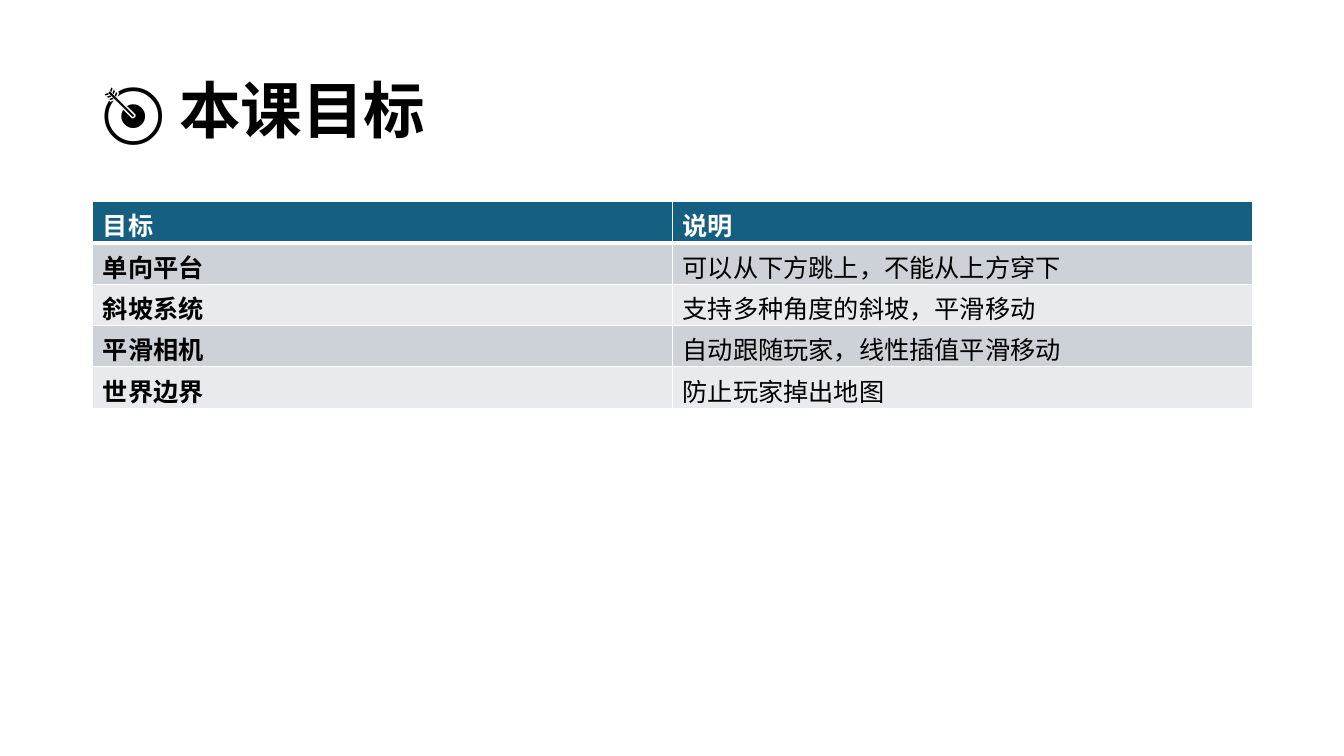
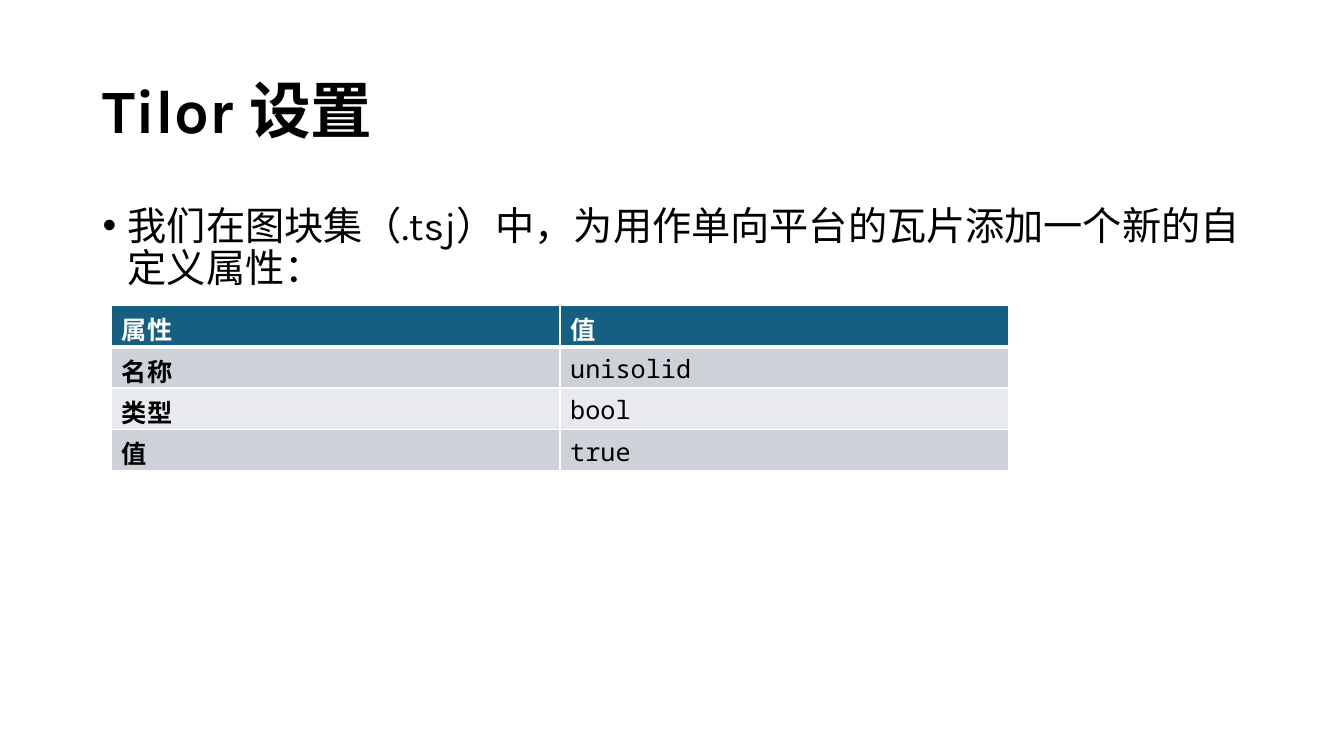
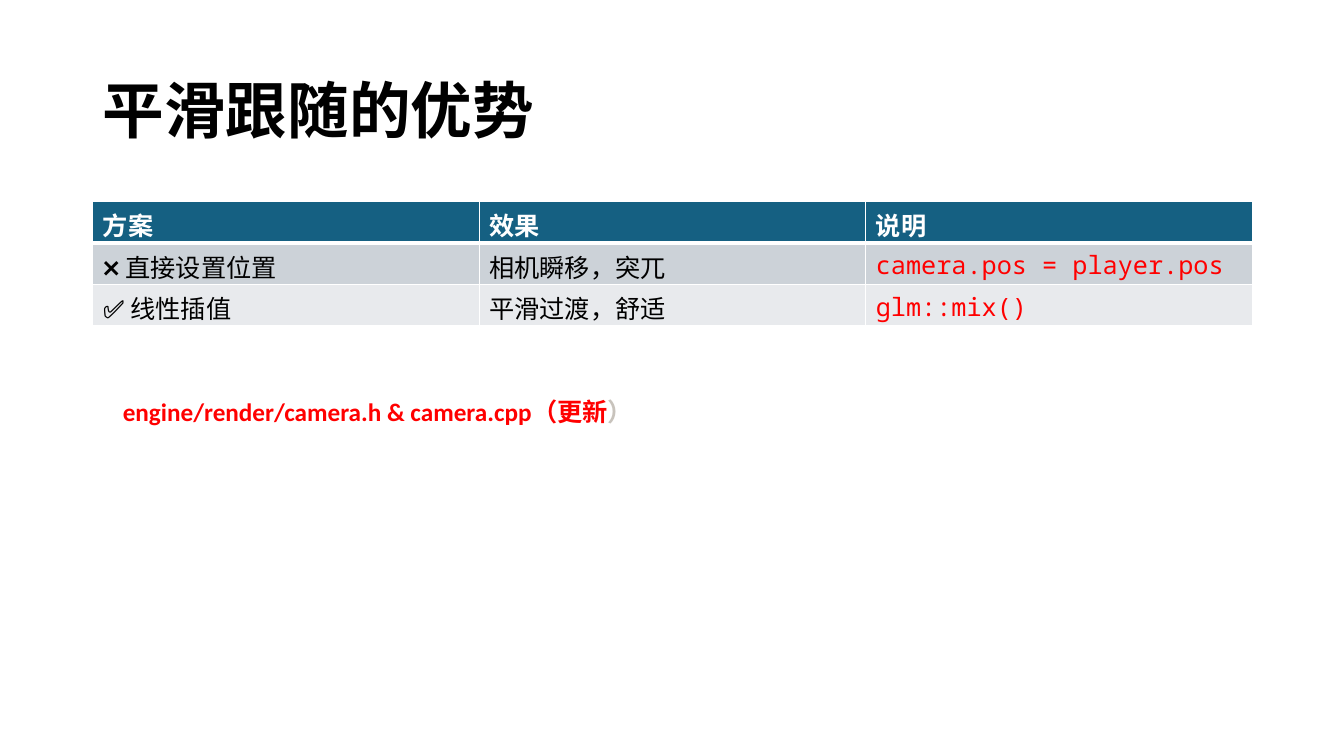
from dataclasses import dataclass

from lxml.etree import SubElement
from pptx import Presentation
from pptx.dml.color import RGBColor
from pptx.enum.text import MSO_ANCHOR
from pptx.oxml import parse_xml
from pptx.oxml.ns import nsdecls, qn
from pptx.util import Inches, Pt


@dataclass(frozen=True)
class Theme:
    font: str = "Karla"
    mono: str = "Noto Sans Mono"
    note: str = "Calibri"
    ink: str = "000000"
    white: str = "FFFFFF"
    head: str = "156082"
    bands: tuple = ("CCD2D8", "E8EAED")
    red: str = "FF0000"
    grey: str = "C8C3BC"
    title: int = 44
    body: int = 28
    small: int = 18
    left: float = 0.92
    wide: float = 11.5
    row: float = 0.41
    thin: int = 1
    thick: int = 3


T = Theme()


def add_run(para, text, size, font=T.font, color=T.ink, bold=False):
    run = para.add_run()
    run.text = text
    run.font.size = Pt(size)
    run.font.name = font
    run.font.bold = bold
    run.font.color.rgb = RGBColor.from_string(color)


def add_box(slide, box, anchor=MSO_ANCHOR.TOP):
    """Add a wrapping text box and return its first paragraph."""
    frame = slide.shapes.add_textbox(*map(Inches, box)).text_frame
    frame.word_wrap = True
    frame.vertical_anchor = anchor
    return frame.paragraphs[0]


def add_title(slide, text):
    para = add_box(slide, (T.left, 0.4, T.wide, 1.45), MSO_ANCHOR.MIDDLE)
    para.line_spacing = 0.9
    add_run(para, text, T.title, bold=True)


def add_bullet(slide, box, text):
    para = add_box(slide, box)
    para.line_spacing = 0.9
    para.space_before = Pt(10)
    props = para._p.get_or_add_pPr()
    props.set("marL", str(Inches(0.25)))
    props.set("indent", str(-Inches(0.25)))
    SubElement(props, qn("a:buFont")).set("typeface", "Arial")
    SubElement(props, qn("a:buChar")).set("char", "•")
    add_run(para, text, T.body)


def set_edges(cell, top, bottom):
    """Draw white cell borders; top and bottom are widths in points."""
    props = cell._tc.get_or_add_tcPr()
    edges = (("L", T.thin), ("R", T.thin), ("T", top), ("B", bottom))
    for spot, (side, width) in enumerate(edges):
        line = parse_xml(
            f'<a:ln{side} {nsdecls("a")} w="{Pt(width)}"><a:solidFill>'
            f'<a:srgbClr val="{T.white}"/></a:solidFill></a:ln{side}>')
        props.insert(spot, line)


def add_grid(slide, left, top, width, rows, styles):
    """Add a table with equal columns; styles format each body column."""
    count = len(rows[0])
    size = (left, top, width, T.row * len(rows))
    table = slide.shapes.add_table(len(rows), count, *map(Inches, size)).table
    for col in table.columns:
        col.width = Inches(width / count)
    for y, row in enumerate(rows):
        table.rows[y].height = Inches(T.row)
        for x, text in enumerate(row):
            cell = table.cell(y, x)
            cell.vertical_anchor = MSO_ANCHOR.MIDDLE
            cell.fill.solid()
            fill = T.bands[(y - 1) % 2] if y else T.head
            cell.fill.fore_color.rgb = RGBColor.from_string(fill)
            set_edges(cell, T.thick if y == 1 else T.thin,
                      T.thick if y == 0 else T.thin)
            style = styles[x] if y else {"color": T.white, "bold": True}
            add_run(cell.text_frame.paragraphs[0], text, T.small, **style)


def add_note(slide, box):
    para = add_box(slide, box)
    parts = (("engine/render/camera.h & camera.cpp（更新", T.red), ("）", T.grey))
    for text, color in parts:
        add_run(para, text, T.small, T.note, color, True)


def goals(slide):
    add_title(slide, "🎯 本课目标")
    rows = (("目标", "说明"),
            ("单向平台", "可以从下方跳上，不能从上方穿下"),
            ("斜坡系统", "支持多种角度的斜坡，平滑移动"),
            ("平滑相机", "自动跟随玩家，线性插值平滑移动"),
            ("世界边界", "防止玩家掉出地图"))
    add_grid(slide, T.left, 2, T.wide, rows, ({"bold": True}, {}))


def setup(slide):
    add_title(slide, "Tilor 设置")
    add_bullet(slide, (T.left, 2, T.wide, 4.76),
               "我们在图块集（.tsj）中，为用作单向平台的瓦片添加一个新的自定义属性：")
    rows = (("属性", "值"), ("名称", "unisolid"),
            ("类型", "bool"), ("值", "true"))
    add_grid(slide, 1.11, 3.03, 8.89, rows, ({"bold": True}, {"font": T.mono}))


def follow(slide):
    add_title(slide, "平滑跟随的优势")
    rows = (("方案", "效果", "说明"),
            ("❌ 直接设置位置", "相机瞬移，突兀", "camera.pos = player.pos"),
            ("✅ 线性插值", "平滑过渡，舒适", "glm::mix()"))
    add_grid(slide, T.left, 2, T.wide, rows,
             ({}, {}, {"font": T.mono, "color": T.red}))
    add_note(slide, (1.12, 3.88, 6.67, 0.4))


def main():
    deck = Presentation()
    deck.slide_width = Inches(13.33)
    deck.slide_height = Inches(7.5)
    for build in (goals, setup, follow):
        build(deck.slides.add_slide(deck.slide_layouts[6]))
    deck.save("out.pptx")


if __name__ == "__main__":
    main()
